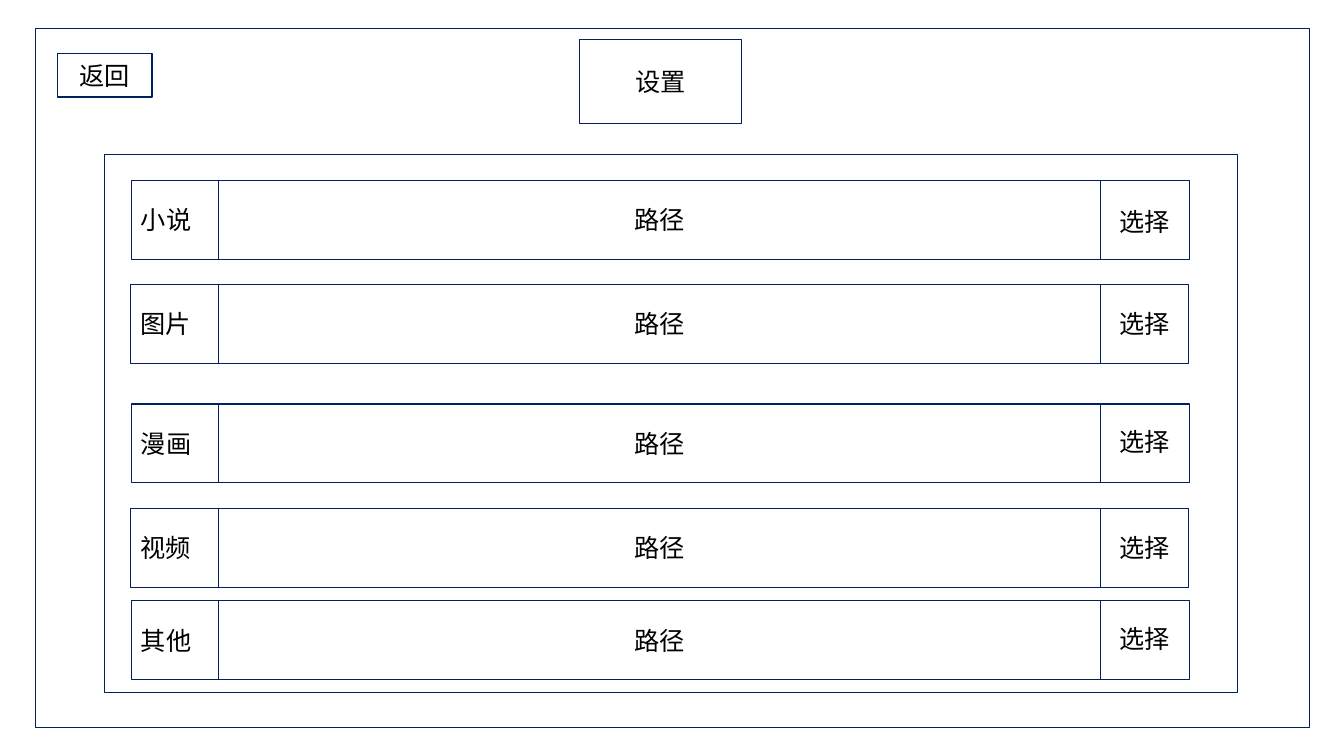
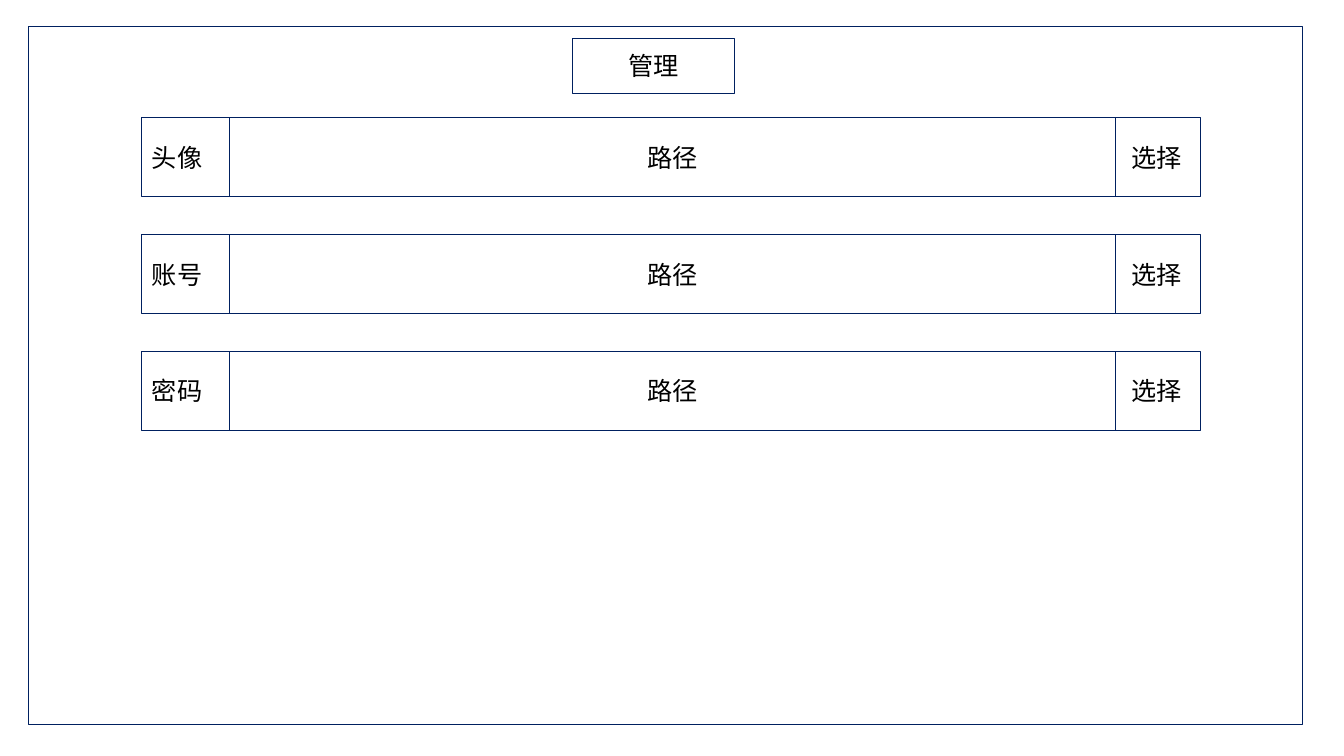
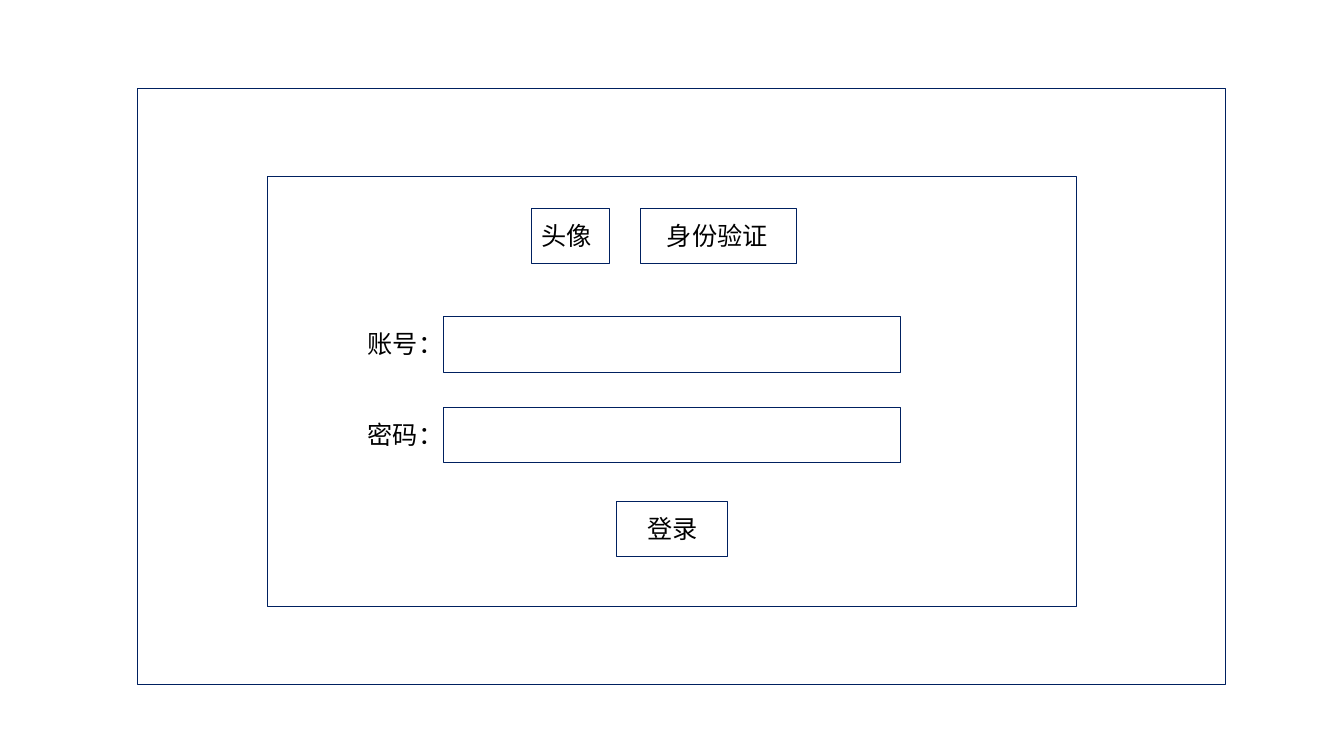
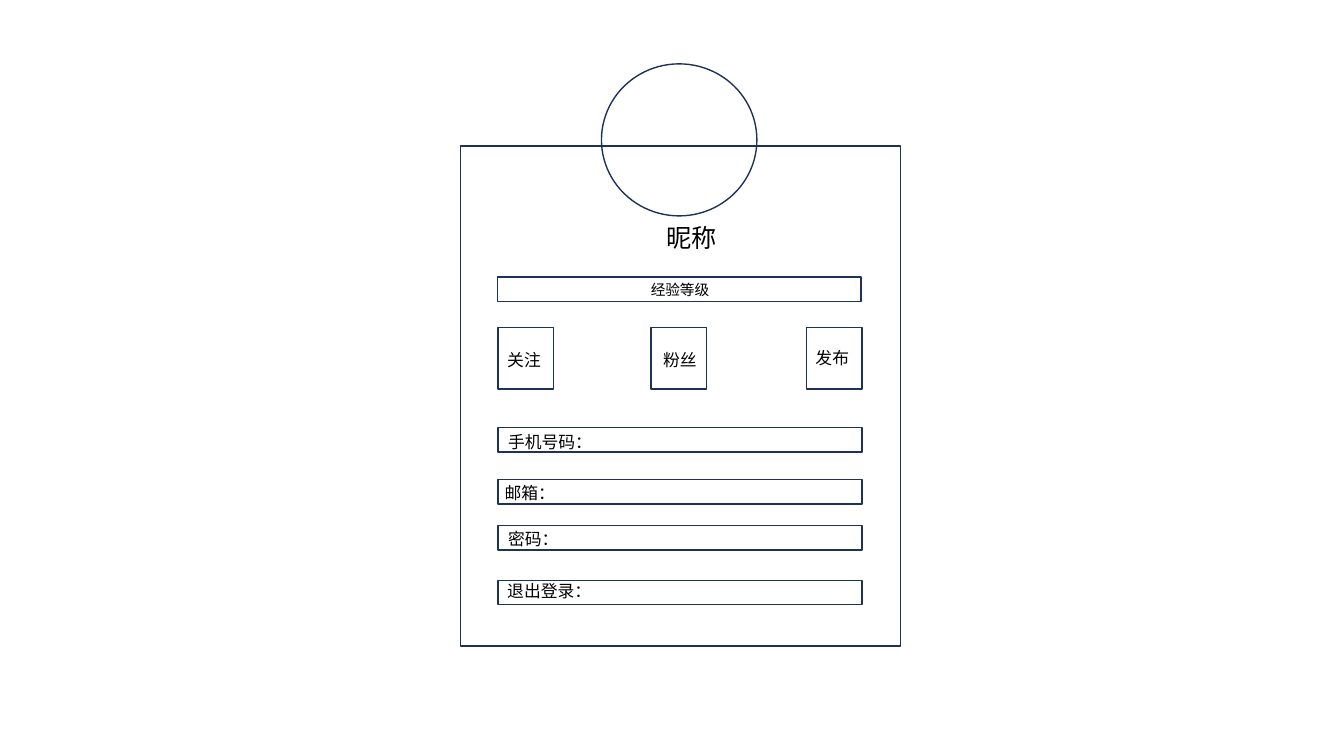
from pptx import Presentation, util as u
from pptx.dml.color import RGBColor
from pptx.enum import shapes, text
from pptx.oxml.ns import qn
from lxml import etree

COLS, ROWS = 160, 90
WIDE, HIGH = u.Inches(13.33), u.Inches(7.5)
FONT = "Noto Sans CJK SC"
INK = {"navy": "002060", "slate": "1E3256", "text": "000000"}
RECT, OVAL = shapes.MSO_SHAPE.RECTANGLE, shapes.MSO_SHAPE.OVAL
LEFT, MID = text.PP_ALIGN.LEFT, text.PP_ALIGN.CENTER
ROW_W, ROW_H = 126, 9.4
BOX_H = 6.6
BAR_X, BAR_W, BAR_H = 59.3, 43.3, 2.9


def cells(x, y, w, h):
    return (int(WIDE * x / COLS), int(HIGH * y / ROWS),
            int(WIDE * w / COLS), int(HIGH * h / ROWS))


def write(frame, words, size, align):
    frame.word_wrap = True
    para = frame.paragraphs[0]
    para.alignment = align
    run = para.add_run()
    run.text = words
    font = run.font
    font.size, font.name = u.Pt(size), FONT
    font.color.rgb = RGBColor.from_string(INK["text"])
    east = etree.SubElement(run._r.get_or_add_rPr(), qn("a:ea"))
    east.set("typeface", FONT)


def box(slide, area, words="", align=MID, kind=RECT, ink="navy", line=0.75):
    shape = slide.shapes.add_shape(kind, *cells(*area))
    shape.shadow.inherit = False
    shape.fill.background()
    shape.line.color.rgb = RGBColor.from_string(INK[ink])
    shape.line.width = u.Pt(line)
    if words:
        shape.text_frame.vertical_anchor = text.MSO_ANCHOR.MIDDLE
        write(shape.text_frame, words, 18, align)


def label(slide, area, words, size=18, align=LEFT):
    write(slide.shapes.add_textbox(*cells(*area)).text_frame, words, size, align)


def outline(slide, area, kind=RECT):
    box(slide, area, kind=kind, ink="slate", line=1)


def picker(slide, name, x, y, path_x, path_w, pick_x, drop):
    box(slide, (x, y, ROW_W, ROW_H), name, LEFT)
    box(slide, (path_x, y, path_w, ROW_H), "路径")
    label(slide, (pick_x, y + drop, 8.6, 4.8), "选择")


def settings(slide):
    box(slide, (4.2, 3.45, 151.7, 83.2))
    box(slide, (6.8, 6.35, 11.3, 5.2), "返回")
    box(slide, (69, 4.75, 19.3, 10), "设置")
    box(slide, (12.5, 18.4, 134.8, 64.1))
    for name, x, y, drop in (("小说", 15.6, 21.45, 2.55),
                             ("图片", 15.5, 33.85, 2.25),
                             ("漫画", 15.6, 48.1, 2.1),
                             ("视频", 15.5, 60.5, 2.3),
                             ("其他", 15.6, 71.5, 2.1)):
        picker(slide, name, x, y, 26, 105, 132.05, drop)


def manage(slide):
    box(slide, (3.4, 3.1, 151.7, 83.2))
    box(slide, (68.2, 4.6, 19.3, 6.5), "管理")
    for i, name in enumerate(("头像", "账号", "密码")):
        picker(slide, name, 16.9, 14.05 + 13.88 * i, 27.35, 105.4, 133.55, 2.3)


def login(slide):
    box(slide, (16.35, 10.55, 129.5, 70.9))
    box(slide, (31.8, 21, 96.4, 51.2))
    for words, x, y, w, inset in (("头像", 63.25, 24.8, 9.3, 0),
                                  ("身份验证", 76.2, 24.8, 18.6, 2),
                                  ("登录", 73.35, 59.65, 13.3, 2.5)):
        box(slide, (x, y, w, BOX_H))
        label(slide, (x + inset, y + 0.85, w - inset, 4.8), words)
    for words, y in (("账号：", 37.7), ("密码：", 48.5)):
        label(slide, (42.6, y + 0.85, 12, 4.8), words)
        box(slide, (52.8, y, 54.4, BOX_H))


def profile(slide):
    outline(slide, (54.8, 17.4, 52.4, 59.5))
    outline(slide, (71.6, 7.6, 18.5, 18.1), OVAL)
    label(slide, (73.1, 25.9, 18.5, 4.8), "昵称", align=MID)
    outline(slide, (59.2, 33, BAR_W, BAR_H))
    label(slide, (BAR_X, 32.85, BAR_W, 3.5), "经验等级", 10.5, MID)
    for words, left, x, y in (("关注", 59.3, 59.2, 41),
                              ("粉丝", 77.5, 77.75, 41),
                              ("发布", 96, 95.9, 40.8)):
        outline(slide, (left, 39, 6.6, 7.3))
        label(slide, (x, y, 6.6, 3.6), words, 12)
    for words, y, x, top in (("手机号码：", 50.9, 59.3, 50.75),
                             ("邮箱：", 57.1, 58.9, 56.9),
                             ("密码：", 62.6, 59.3, 62.4),
                             ("退出登录：", 69.1, 59.2, 68.5)):
        outline(slide, (BAR_X, y, BAR_W, BAR_H))
        label(slide, (x, top, BAR_W, 3.6), words, 12)


def main():
    deck = Presentation()
    deck.slide_width, deck.slide_height = WIDE, HIGH
    for draw in (settings, manage, login, profile):
        draw(deck.slides.add_slide(deck.slide_layouts[6]))
    deck.save("out.pptx")


main()
